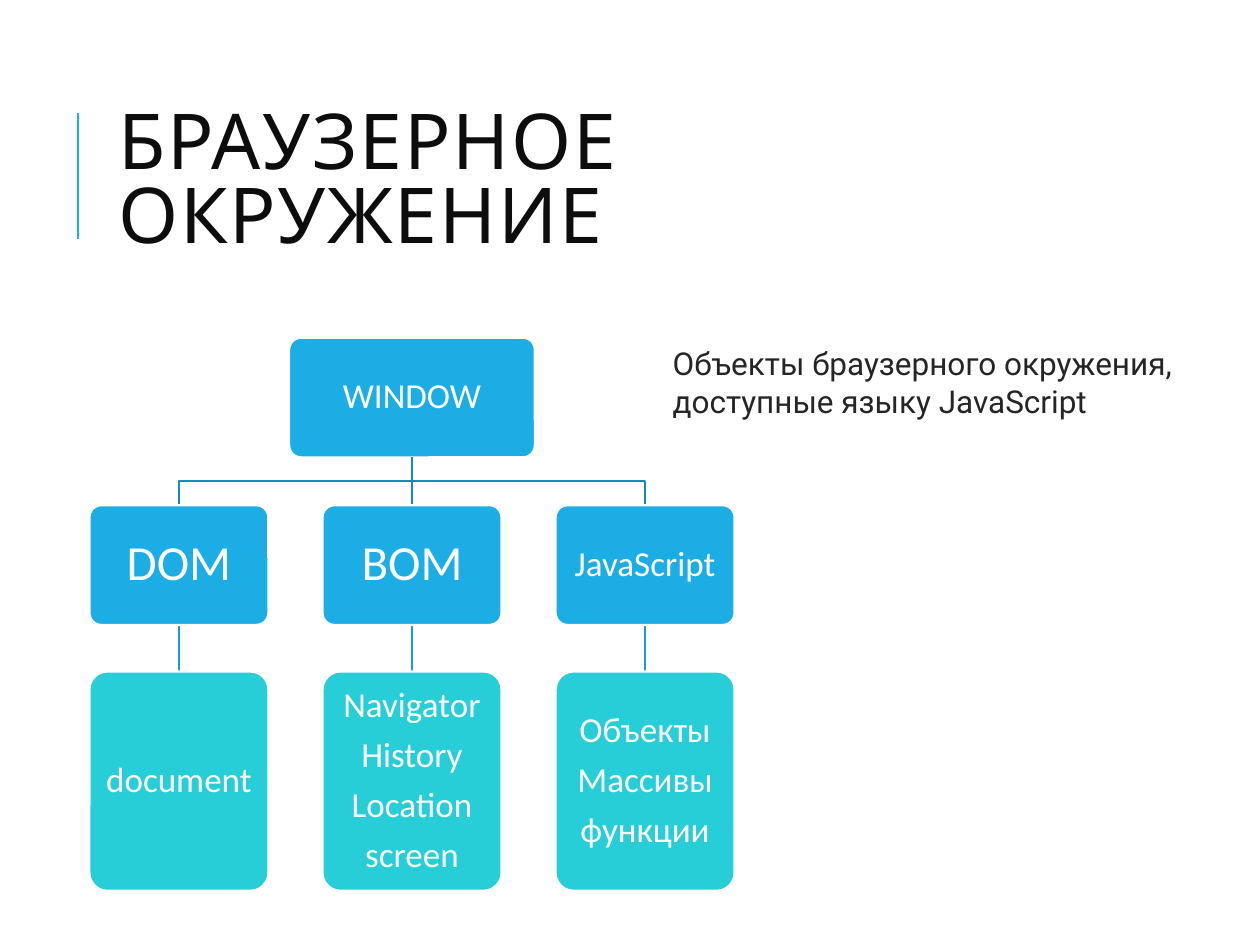
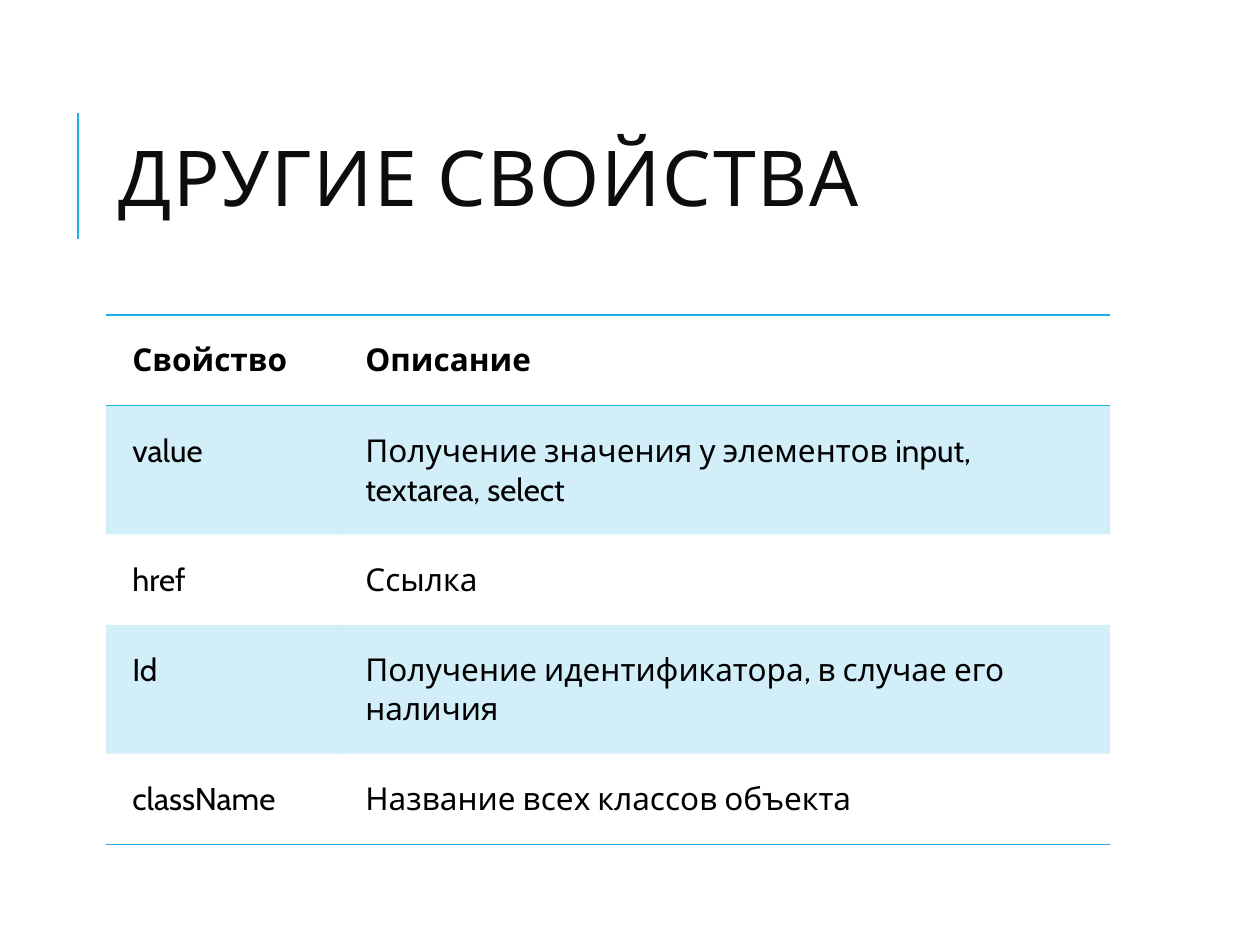
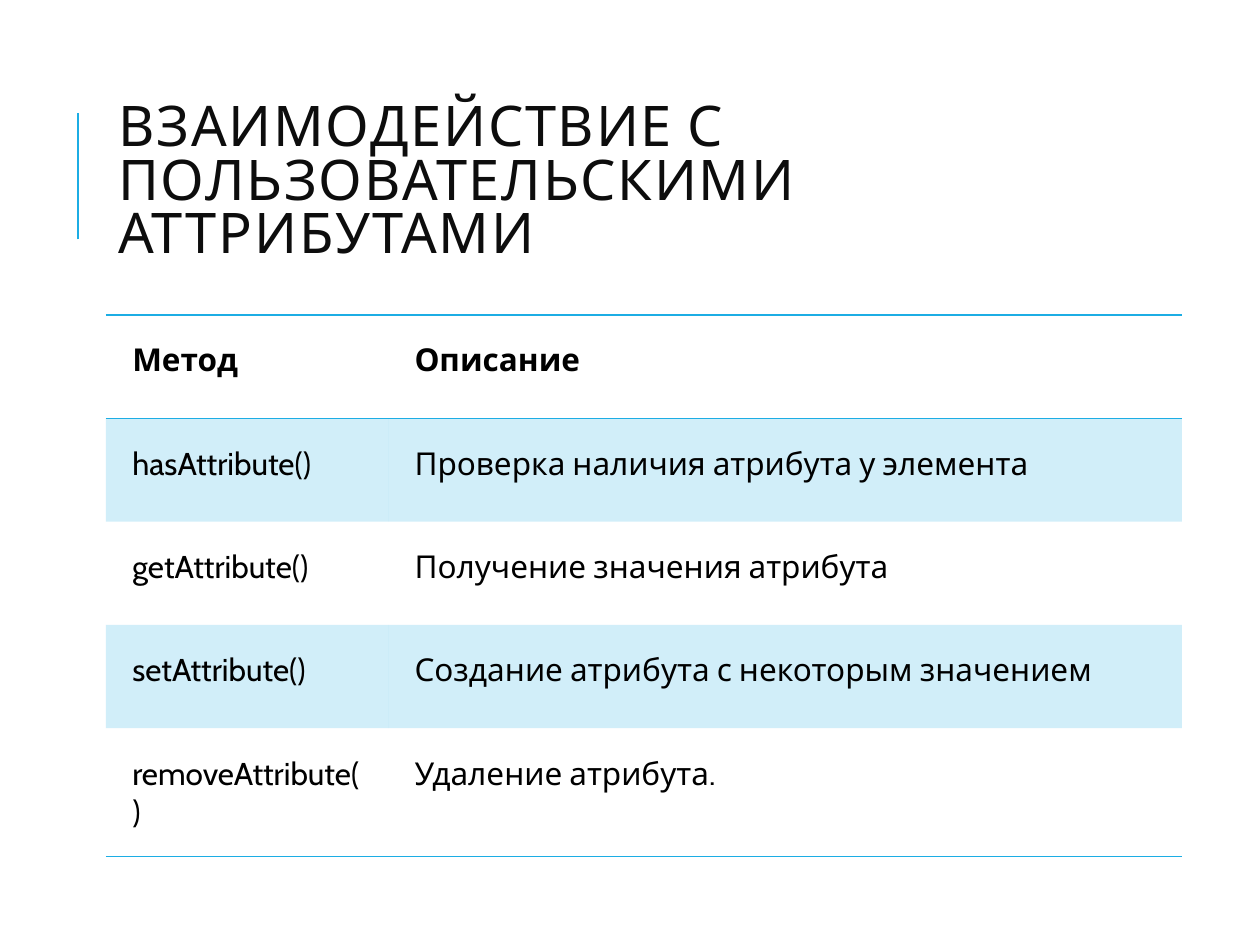
"""Three lecture slides: the browser environment, other properties and custom attributes."""
from lxml import etree
from pptx import Presentation
from pptx import util as u
from pptx.dml.color import RGBColor
from pptx.enum import shapes, text
from pptx.oxml import ns

BLUE, TEAL, WHITE = "1CADE4", "27CED7", "FFFFFF"
TRUNK, BRANCH = "168BB7", "199DCF"
TITLE_INK, BODY_INK, TABLE_INK = "0D0D0D", "252525", "000000"


def color(value):
    return RGBColor.from_string(value)


def write(frame, content, font="Cabin", size=18, ink=TABLE_INK, bold=False, align=None,
          anchor=None, leading=None, after=None, tracking=None, inset=None):
    frame.word_wrap = True
    if anchor is not None:
        frame.vertical_anchor = anchor
    if inset is not None:
        frame.margin_left = frame.margin_right = u.Inches(inset)
        frame.margin_top = frame.margin_bottom = u.Inches(inset)
    for index, line in enumerate(content.split("\n")):
        paragraph = frame.add_paragraph() if index else frame.paragraphs[0]
        paragraph.alignment = align
        paragraph.line_spacing = leading
        paragraph.space_after = after
        run = paragraph.add_run()
        run.text = line
        run.font.name, run.font.size, run.font.bold = font, u.Pt(size), bold
        run.font.color.rgb = color(ink)
        if tracking:
            run.font._element.set("spc", str(tracking * 100))


def set_borders(cell, **edges):
    properties = cell._tc.get_or_add_tcPr()
    for position, side in enumerate("LRTB"):
        line = etree.Element(ns.qn(f"a:ln{side}"), w=str(u.Pt(1)))
        if edges.get(side):
            fill = etree.SubElement(line, ns.qn("a:solidFill"))
            etree.SubElement(fill, ns.qn("a:srgbClr"), val=BLUE)
        else:
            etree.SubElement(line, ns.qn("a:noFill"))
        properties.insert(position, line)


class Deck:
    def __init__(self):
        self.show = Presentation()
        self.show.slide_width, self.show.slide_height = u.Inches(10), u.Inches(7.5)
        self.slide = None

    def start(self, title, size=44):
        self.slide = self.show.slides.add_slide(self.show.slide_layouts[6])
        self.line(0.62, 1.9, 0.62, 0.9, BLUE, 1.5)
        self.label(0.84, 0.64, 7.97, 1.64, title, size=size, ink=TITLE_INK,
                   anchor=text.MSO_ANCHOR.MIDDLE, leading=0.8, tracking=1)

    def label(self, left, top, width, height, content, **style):
        box = self.slide.shapes.add_textbox(*map(u.Inches, (left, top, width, height)))
        write(box.text_frame, content, **style)

    def line(self, x1, y1, x2, y2, ink, weight=1.25):
        rule = self.slide.shapes.add_connector(
            shapes.MSO_CONNECTOR.STRAIGHT, *map(u.Inches, (x1, y1, x2, y2)))
        rule.line.color.rgb, rule.line.width = color(ink), u.Pt(weight)
        etree.SubElement(rule._element.spPr, ns.qn("a:effectLst"))

    def elbow(self, x1, y1, x2, y2, ink):
        middle = (y1 + y2) / 2
        start, *corners = [(u.Inches(x), u.Inches(y)) for x, y in
                           ((x1, y1), (x1, middle), (x2, middle), (x2, y2))]
        builder = self.slide.shapes.build_freeform(*start)
        builder.add_line_segments(corners, close=False)
        bend = builder.convert_to_shape()
        bend.shadow.inherit = False
        bend.fill.background()
        bend.line.color.rgb, bend.line.width = color(ink), u.Pt(1.25)

    def node(self, center, top, width, height, content, fill=BLUE, size=20):
        card = self.slide.shapes.add_shape(
            shapes.MSO_SHAPE.ROUNDED_RECTANGLE,
            *map(u.Inches, (center - width / 2, top, width, height)))
        card.adjustments[0] = 0.1
        card.shadow.inherit = False
        card.fill.solid()
        card.fill.fore_color.rgb = color(fill)
        card.line.color.rgb, card.line.width = color(WHITE), u.Pt(1.25)
        write(card.text_frame, content, font="Calibri", size=size, ink=WHITE,
              align=text.PP_ALIGN.CENTER, anchor=text.MSO_ANCHOR.MIDDLE,
              leading=0.9, after=u.Pt(size * 0.35), inset=0.08)

    def table(self, widths, heights, rows):
        grid = self.slide.shapes.add_table(
            len(rows), len(widths),
            *map(u.Inches, (0.84, 2.5, sum(widths), sum(heights)))).table
        grid.first_row = grid.horz_banding = False
        for column, width in zip(grid.columns, widths):
            column.width = u.Inches(width)
        for r, (row, height) in enumerate(zip(rows, heights)):
            grid.rows[r].height = u.Inches(height)
            for c, content in enumerate(row):
                cell = grid.cell(r, c)
                write(cell.text_frame, content, bold=r == 0)
                cell.margin_left = cell.margin_right = u.Inches(0.21)
                cell.margin_top = cell.margin_bottom = u.Inches(0.21)
                if r % 2:
                    self.tint(cell)
                else:
                    cell.fill.background()
                set_borders(cell, T=r < 2, B=r in (0, len(rows) - 1))

    def tint(self, cell):
        cell.fill.solid()
        cell.fill.fore_color.rgb = color(BLUE)
        shade = cell._tc.tcPr.find(".//" + ns.qn("a:srgbClr"))
        etree.SubElement(shade, ns.qn("a:alpha"), val="20000")


deck = Deck()

deck.start("БРАУЗЕРНОЕ ОКРУЖЕНИЕ")
ROOT_X, STEP = 3.27, 1.85
ROOT_TOP, BRANCH_TOP, LEAF_TOP, NODE_HEIGHT = 2.68, 4.01, 5.33, 0.95
branches = [
    ("DOM", 28, "document"),
    ("BOM", 28, "Navigator\nHistory\nLocation\nscreen"),
    ("JavaScript", 20, "Объекты\nМассивы\nфункции"),
]
deck.node(ROOT_X, ROOT_TOP, 1.95, NODE_HEIGHT, "WINDOW")
for index, (branch, size, members) in enumerate(branches):
    center = ROOT_X + (index - 1) * STEP
    trunk = (ROOT_X, ROOT_TOP + NODE_HEIGHT, center, BRANCH_TOP, TRUNK)
    if center == ROOT_X:
        deck.line(*trunk)
    else:
        deck.elbow(*trunk)
    deck.line(center, BRANCH_TOP + NODE_HEIGHT, center, LEAF_TOP, BRANCH)
    deck.node(center, BRANCH_TOP, 1.42, NODE_HEIGHT, branch, size=size)
    deck.node(center, LEAF_TOP, 1.42, 1.74, members, fill=TEAL)
deck.label(5.24, 2.68, 5, 0.71, "Объекты браузерного окружения, доступные языку JavaScript",
           font="Roboto", ink=BODY_INK)

deck.start("ДРУГИЕ СВОЙСТВА")
deck.table([1.85, 6.12], [0.72, 1.02, 0.72, 1.02, 0.72], [
    ("Свойство", "Описание"),
    ("value", "Получение значения у элементов input, textarea, select"),
    ("href", "Ссылка"),
    ("Id", "Получение идентификатора, в случае его наличия"),
    ("className", "Название всех классов объекта"),
])

deck.start("ВЗАИМОДЕЙСТВИЕ С ПОЛЬЗОВАТЕЛЬСКИМИ АТТРИБУТАМИ", size=32)
deck.table([2.24, 6.3], [0.82] * 5, [
    ("Метод", "Описание"),
    ("hasAttribute()", "Проверка наличия атрибута у элемента"),
    ("getAttribute()", "Получение значения атрибута"),
    ("setAttribute()", "Создание атрибута с некоторым значением"),
    ("removeAttribute()", "Удаление атрибута."),
])

deck.show.save("out.pptx")
